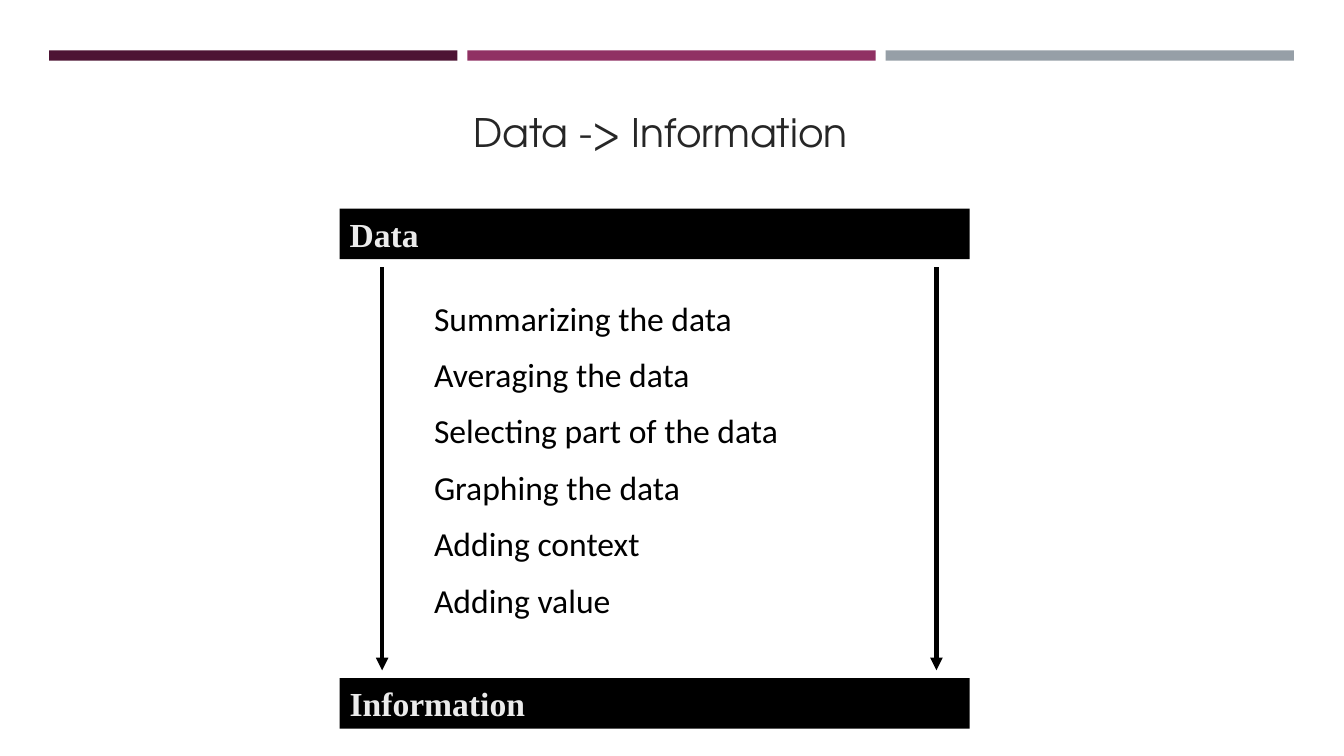
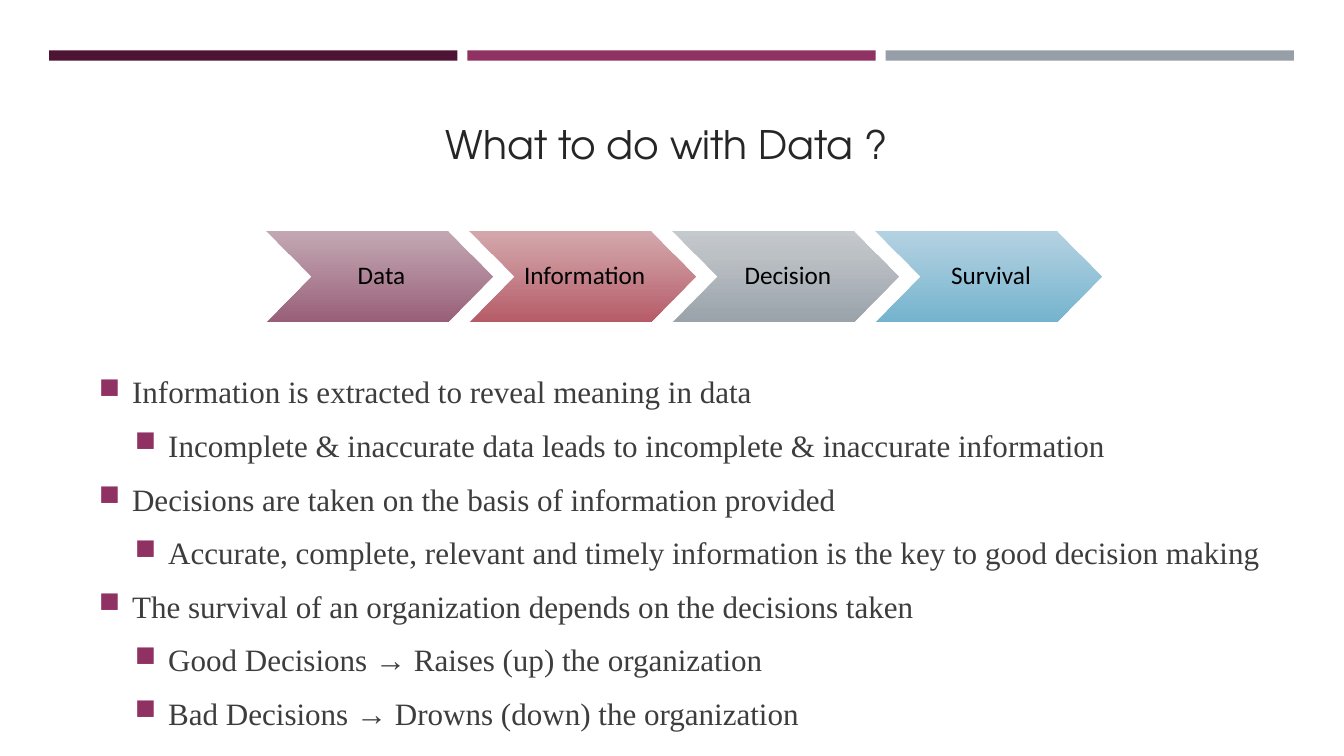
from dataclasses import dataclass

from lxml import etree
from pptx import Presentation
from pptx.dml.color import RGBColor
from pptx.enum import shapes, text
from pptx.oxml import ns
from pptx.util import Cm, Pt

ALIGN = text.PP_ALIGN
ANCHOR = text.MSO_ANCHOR
SHAPE = shapes.MSO_SHAPE


@dataclass(frozen=True)
class Theme:
    bands: tuple = ("4D1434", "903163", "969FA7")
    title: str = "262626"
    body: str = "3D3D3D"
    bullet: str = "903163"
    ink: str = "000000"
    bar_text: str = "EBEBEB"
    title_font: str = "TeX Gyre Adventor"
    serif: str = "Times New Roman"
    sans: str = "Calibri"
    title_size: float = 28
    large_size: float = 24
    body_size: float = 22.2
    step_size: float = 18


def rgb(code):
    return RGBColor.from_string(code)


def sub(parent, tag, **attrs):
    """Append a DrawingML child element and return it."""
    return etree.SubElement(parent, ns.qn(tag), attrs)


def write(p, content, font, size, color, bold=False, align=ALIGN.LEFT,
          before=0, after=0, spacing=None):
    """Add one formatted run to a paragraph and set the paragraph's spacing."""
    p.alignment = align
    p.space_before, p.space_after = Pt(before), Pt(after)
    if spacing:
        p.line_spacing = spacing
    r = p.add_run()
    r.text = content
    r.font.name, r.font.size, r.font.bold = font, Pt(size), bold
    r.font.color.rgb = rgb(color)


def add_bullet(p, level, color):
    p.level = level
    pPr = p._p.get_or_add_pPr()
    pPr.set("marL", str(Cm(0.84 + 0.91 * level)))
    pPr.set("indent", str(-Cm(0.84)))
    sub(sub(pPr, "a:buClr"), "a:srgbClr", val=color)
    sub(pPr, "a:buSzPct", val="92000")
    sub(pPr, "a:buChar", char="■")


class Deck:
    def __init__(self, theme):
        self.theme = theme
        self.prs = Presentation()
        self.prs.slide_width, self.prs.slide_height = Cm(33.87), Cm(19.05)
        self.s = None

    def new_slide(self, title, left, top):
        t = self.theme
        self.s = self.prs.slides.add_slide(self.prs.slide_layouts[5])
        for i, color in enumerate(t.bands):
            self.box(1.24 + 10.54 * i, 1.27, 10.29, 0.26, color)
        sp = self.s.shapes.title
        sp.left, sp.top, sp.width, sp.height = Cm(left), Cm(top), Cm(23.34), Cm(2.29)
        tf = sp.text_frame
        tf.auto_size, tf.vertical_anchor = text.MSO_AUTO_SIZE.NONE, ANCHOR.TOP
        write(tf.paragraphs[0], title, t.title_font, t.title_size, t.title,
              align=ALIGN.CENTER, before=9, spacing=1.12)

    def box(self, left, top, width, height, color=None, kind=SHAPE.RECTANGLE):
        sp = self.s.shapes.add_shape(kind, Cm(left), Cm(top), Cm(width), Cm(height))
        sp.shadow.inherit = False
        sp.line.fill.background()
        if color:
            sp.fill.solid()
            sp.fill.fore_color.rgb = rgb(color)
        return sp

    def label_bar(self, label, top):
        t = self.theme
        sp = self.box(8.56, top, 15.88, 1.27, t.ink)
        write(sp.text_frame.paragraphs[0], label, t.serif, t.large_size,
              t.bar_text, bold=True)

    def chevron(self, label, left, light, dark):
        t = self.theme
        sp = self.box(left, 5.84, 5.69, 2.26, kind=SHAPE.CHEVRON)
        sp.fill.gradient()
        sp.fill.gradient_angle = 270
        for stop, color in zip(sp.fill.gradient_stops, (light, dark)):
            stop.color.rgb = rgb(color)
        first = next(sp._element.spPr.iter(ns.qn("a:srgbClr")))
        sub(first, "a:alpha", val="90000")
        tf = sp.text_frame
        tf.margin_left = Cm(0.2)
        tf.margin_right = tf.margin_top = tf.margin_bottom = Cm(0.08)
        tf.vertical_anchor = ANCHOR.MIDDLE
        write(tf.paragraphs[0], label, t.sans, t.step_size, t.ink,
              align=ALIGN.CENTER, spacing=0.9)

    def paragraphs(self, lines, left, top, width, height, **style):
        """Add a text box with one paragraph per line and return the paragraphs."""
        tf = self.s.shapes.add_textbox(Cm(left), Cm(top), Cm(width), Cm(height)).text_frame
        tf.word_wrap = True
        for i, line in enumerate(lines):
            p = tf.add_paragraph() if i else tf.paragraphs[0]
            write(p, line, **style)
        return tf.paragraphs

    def bullets(self, items, left, top, width, height):
        t = self.theme
        levels, lines = zip(*items)
        added = self.paragraphs(lines, left, top, width, height, font=t.serif,
                                size=t.body_size, color=t.body, before=5.6, after=6)
        for p, level in zip(added, levels):
            add_bullet(p, level, t.bullet)

    def down_arrow(self, x, top, bottom):
        c = self.s.shapes.add_connector(shapes.MSO_CONNECTOR.STRAIGHT,
                                        Cm(x), Cm(top), Cm(x), Cm(bottom))
        c.line.color.rgb = rgb(self.theme.ink)
        c.line.width = Pt(3)
        sub(c.line._get_or_add_ln(), "a:tailEnd", type="triangle")
        sub(c._element.spPr, "a:effectLst")


def data_to_information(deck):
    t = deck.theme
    deck.new_slide("Data -> Information", 4.98, 2.46)
    deck.label_bar("Data", 5.26)
    deck.label_bar("Information", 17.09)
    deck.paragraphs(
        ["Summarizing the data", "Averaging the data", "Selecting part of the data",
         "Graphing the data", "Adding context", "Adding value"],
        10.69, 7.37, 15.88, 8.97,
        font=t.sans, size=t.large_size, color=t.ink, before=11.5)
    for x in (9.63, 23.6):
        deck.down_arrow(x, 6.73, 16.89)


def what_to_do(deck):
    deck.new_slide("What to do with Data ?", 5.13, 2.77)
    steps = [("Data", "BD9FAB", "995F79"),
             ("Information", "CF9FA4", "B75C68"),
             ("Decision", "C0C5C9", "9BA3AB"),
             ("Survival", "ACCEDF", "75B4CF")]
    for i, (label, light, dark) in enumerate(steps):
        deck.chevron(label, 6.71 + 5.12 * i, light, dark)
    deck.bullets([
        (0, "Information is extracted to reveal meaning in data"),
        (1, "Incomplete & inaccurate data leads to incomplete & inaccurate information"),
        (0, "Decisions are taken on the basis of information provided"),
        (1, "Accurate, complete, relevant and timely information is the key to "
            "good decision making"),
        (0, "The survival of an organization depends on the decisions taken"),
        (1, "Good Decisions → Raises (up) the organization"),
        (1, "Bad Decisions → Drowns (down) the organization"),
    ], 2.24, 9.27, 32.36 - 1, 9.2)


def main():
    deck = Deck(Theme())
    data_to_information(deck)
    what_to_do(deck)
    deck.prs.save("out.pptx")


if __name__ == "__main__":
    main()
